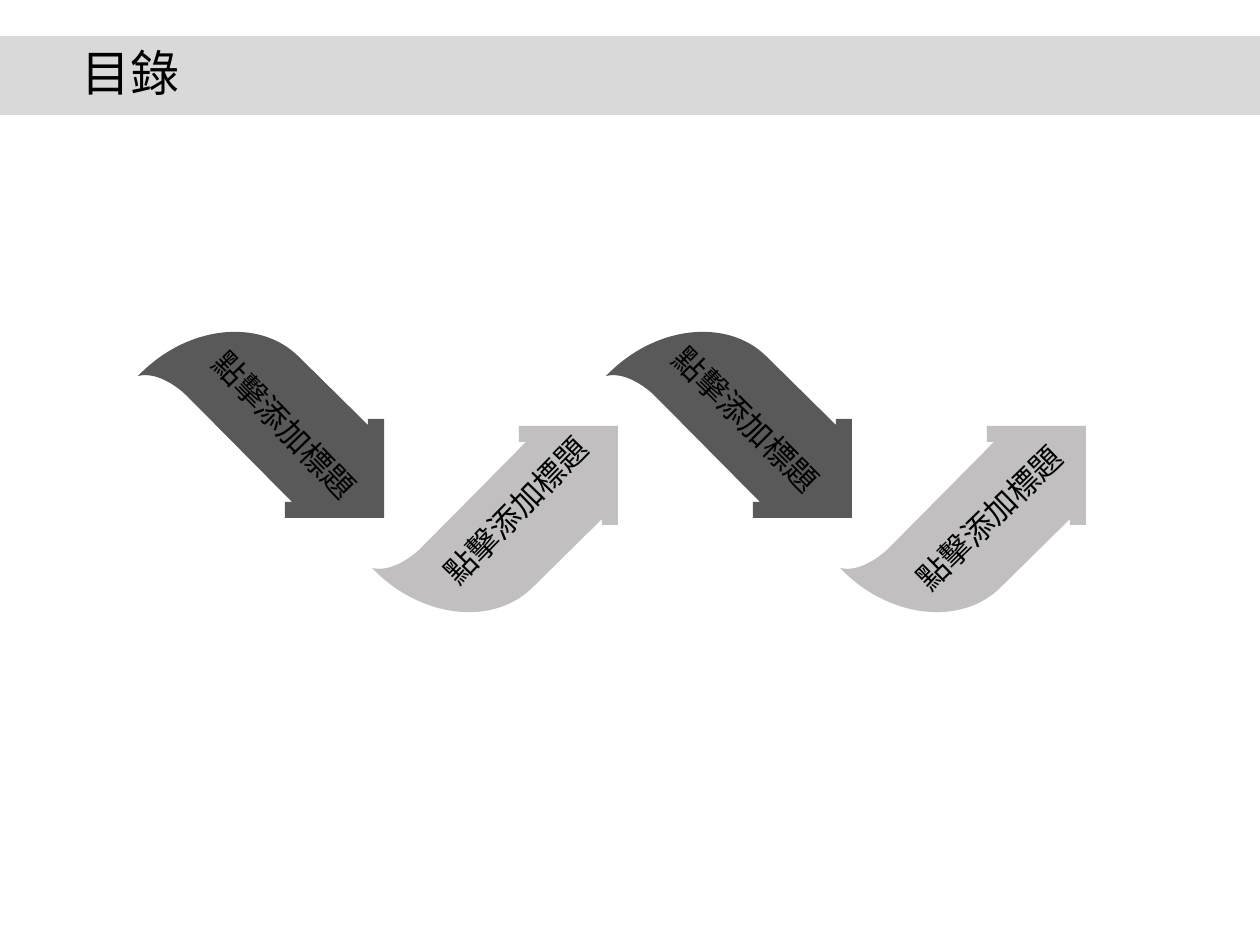
import pptx
import pptx.dml.color
import pptx.enum.shapes
import pptx.enum.text
import pptx.oxml.ns
import pptx.util
from lxml import etree

RGBColor = pptx.dml.color.RGBColor
BAND = RGBColor(0xD9, 0xD9, 0xD9)
DARK = RGBColor(0x59, 0x59, 0x59)
LIGHT = RGBColor(0xC1, 0xBF, 0xC0)
BLACK = RGBColor(0, 0, 0)

PX = 914400 / 126
FONT = "Noto Sans CJK SC"
LABEL = "點擊添加標題"

ARROW_LEFT, ARROW_STEP = 138, 234
ARROW_WIDTH, ARROW_HEIGHT = 246, 186
# Downward arrow from its top left corner: one point is a line, three a curve
ARROW_START = (246, 186)
ARROW_SEGMENTS = [
    [(246, 87)], [(230, 87)], [(230, 93)], [(160, 24)],
    [(121, -14), (49, -7), (0, 44)],
    [(20, 39), (42, 57), (49, 64)],
    [(154, 170)], [(147, 170)], [(147, 186)],
]
# top, flipped, colour
ARROWS = [
    (332, False, DARK),
    (426, True, LIGHT),
    (332, False, DARK),
    (426, True, LIGHT),
]
# left, top, rotation
LABELS = [
    (640, 394, 44.8),
    (409, 485, 314.3),
    (882, 492, 315.7),
    (178, 400, 46),
]

qn = pptx.oxml.ns.qn


def emu(px):
    return pptx.util.Emu(round(px * PX))


class Deck:
    def __init__(self, slide, font):
        self.s = slide
        self.font = font

    def paint(self, sp, colour):
        sp.shadow.inherit = False
        sp.fill.solid()
        sp.fill.fore_color.rgb = colour
        sp.line.fill.background()

    def rect(self, left, top, width, height, colour):
        sp = self.s.shapes.add_shape(
            pptx.enum.shapes.MSO_SHAPE.RECTANGLE,
            emu(left), emu(top), emu(width), emu(height))
        self.paint(sp, colour)

    def arrow(self, shapes, left, top, flipped, colour):
        """Frame a freeform with its box, then draw the curved outline in it."""
        builder = shapes.build_freeform(0, 0, scale=PX)
        builder.add_line_segments([(ARROW_WIDTH, 0), (ARROW_WIDTH, ARROW_HEIGHT),
                                   (0, ARROW_HEIGHT)])
        sp = builder.convert_to_shape(emu(left), emu(top))
        outline = sp._element.find(f".//{qn('a:path')}")
        for child in list(outline):
            outline.remove(child)

        def draw(tag, points):
            step = etree.SubElement(outline, qn(tag))
            for x, y in points:
                etree.SubElement(step, qn("a:pt"), x=str(x),
                                 y=str(ARROW_HEIGHT - y if flipped else y))

        draw("a:moveTo", [ARROW_START])
        for points in ARROW_SEGMENTS:
            draw("a:lnTo" if len(points) == 1 else "a:cubicBezTo", points)
        draw("a:close", [])
        self.paint(sp, colour)

    def text(self, text, left, top, width, height, size, rotation=0, wrap=False):
        sp = self.s.shapes.add_textbox(emu(left), emu(top), emu(width), emu(height))
        sp.rotation = rotation
        tf = sp.text_frame
        tf.word_wrap = wrap
        tf.auto_size = pptx.enum.text.MSO_AUTO_SIZE.SHAPE_TO_FIT_TEXT
        p = tf.paragraphs[0]
        p.text = text
        p.font.size = pptx.util.Pt(size)
        p.font.name = self.font
        p.font.color.rgb = BLACK
        props = p._p.find(f"{qn('a:pPr')}/{qn('a:defRPr')}")
        etree.SubElement(props, qn("a:ea"), typeface=self.font)


def main():
    prs = pptx.Presentation()
    prs.slide_width = pptx.util.Inches(10)
    prs.slide_height = pptx.util.Inches(7.5)
    deck = Deck(prs.slides.add_slide(prs.slide_layouts[6]), FONT)

    deck.rect(0, 36, 1260, 79, BAND)
    group = deck.s.shapes.add_group_shape()
    for i, (top, flipped, colour) in enumerate(ARROWS):
        deck.arrow(group.shapes, ARROW_LEFT + i * ARROW_STEP, top, flipped, colour)
    for left, top, rotation in LABELS:
        deck.text(LABEL, left, top, 214, 50, 18, rotation)
    deck.text("目錄", 69, 36, 137, 72, 28, wrap=True)

    prs.save("out.pptx")


if __name__ == "__main__":
    main()
